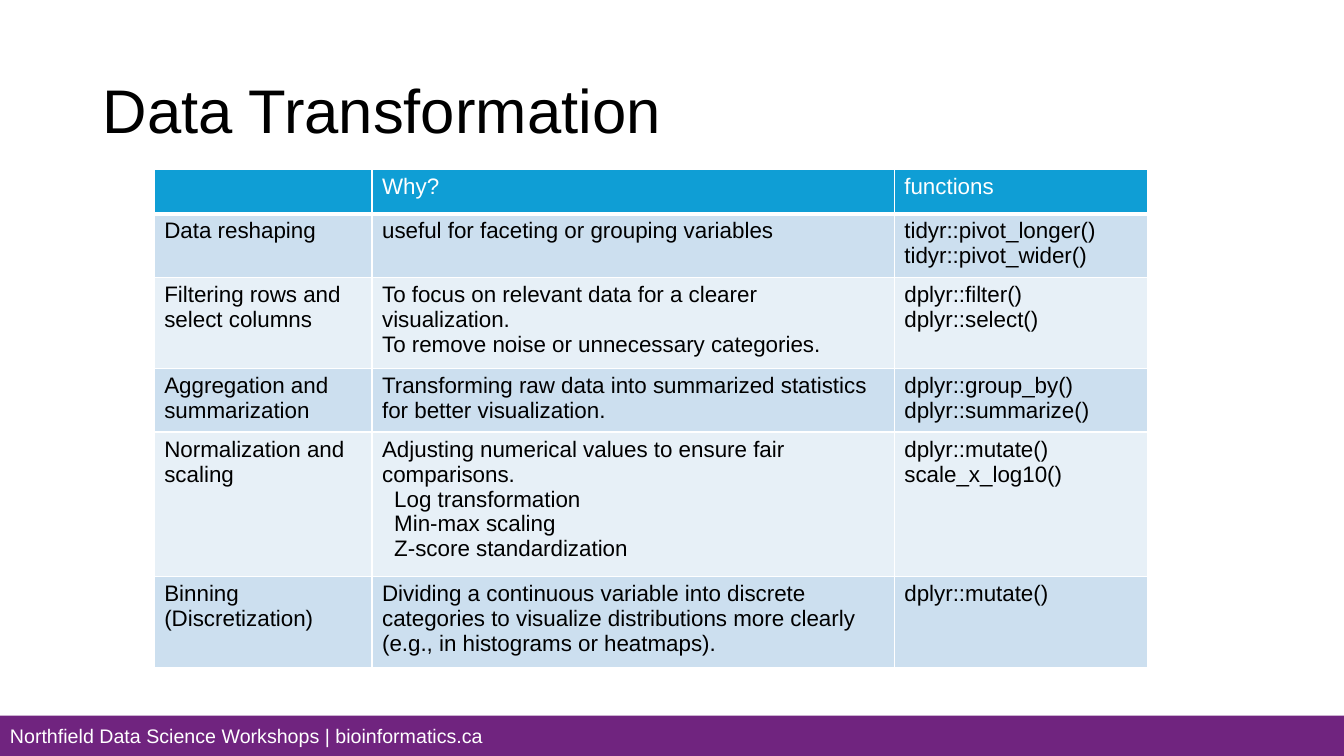
from lxml.etree import SubElement
from pptx import Presentation
from pptx.dml.color import RGBColor
from pptx.enum.shapes import MSO_SHAPE
from pptx.enum.text import MSO_ANCHOR
from pptx.oxml import parse_xml
from pptx.oxml.ns import nsdecls, qn
from pptx.util import Inches, Pt

WIDTH, HEIGHT = 13.33, 7.5
FONT = "Arial"
WHITE, BLACK, PURPLE = "FFFFFF", "000000", "70247F"
HEADER_BLUE, BAND_DARK, BAND_LIGHT = "0F9ED5", "CCDFEF", "E7F0F7"
COLUMN_WIDTHS = [2.16, 5.18, 2.51]
ROW_HEIGHTS = [0.44, 0.62, 0.84, 0.62, 1.38, 0.87]
STEP_INDENT = 0.12

HEADINGS = [[], ["Why?"], ["functions"]]
TRANSFORMATIONS = [
    [["Data reshaping"],
     ["useful for faceting or grouping variables"],
     ["tidyr::pivot_longer()", "tidyr::pivot_wider()"]],
    [["Filtering rows and select columns"],
     ["To focus on relevant data for a clearer visualization.",
      "To remove noise or unnecessary categories."],
     ["dplyr::filter()", "dplyr::select()"]],
    [["Aggregation and summarization"],
     ["Transforming raw data into summarized statistics for better visualization."],
     ["dplyr::group_by()", "dplyr::summarize()"]],
    [["Normalization and scaling"],
     ["Adjusting numerical values to ensure fair comparisons.",
      "Log transformation", "Min-max scaling", "Z-score standardization"],
     ["dplyr::mutate()", "scale_x_log10()"]],
    [["Binning (Discretization)"],
     ["Dividing a continuous variable into discrete categories to visualize "
      "distributions more clearly (e.g., in histograms or heatmaps)."],
     ["dplyr::mutate()"]],
]
INDENTED_STEPS = TRANSFORMATIONS[3][1][1:]


def paint(color_format, hex_color):
    """Give a fill or a font a solid colour from a hex string."""
    color_format.rgb = RGBColor.from_string(hex_color)


def write(frame, lines, size, hex_color):
    """Write each line as one paragraph with one run."""
    for index, line in enumerate(lines):
        paragraph = frame.paragraphs[0] if index == 0 else frame.add_paragraph()
        if line in INDENTED_STEPS:
            paragraph_properties = paragraph._p.get_or_add_pPr()
            paragraph_properties.set("marL", str(Inches(STEP_INDENT)))
            paragraph_properties.set("indent", "0")
        run = paragraph.add_run()
        run.text = line
        run.font.name = FONT
        run.font.size = Pt(size)
        paint(run.font.color, hex_color)


def add_label(slide, box, text, size, hex_color):
    """Place one line of text, vertically centred in its box."""
    label = slide.shapes.add_textbox(*map(Inches, box))
    frame = label.text_frame
    frame.word_wrap = True
    frame.vertical_anchor = MSO_ANCHOR.MIDDLE
    write(frame, [text], size, hex_color)
    return frame.paragraphs[0]


def add_footer(slide, box):
    """Draw the purple footer band and its label."""
    left, top, width, height = box
    band = slide.shapes.add_shape(MSO_SHAPE.RECTANGLE, *map(Inches, box))
    band.shadow.inherit = False
    band.fill.solid()
    paint(band.fill.fore_color, PURPLE)
    band.line.fill.background()
    add_label(slide, (left, top + 0.03, width * 0.4, height - 0.06),
              "Northfield Data Science Workshops | bioinformatics.ca", 14, WHITE)


def add_title(slide, box):
    """Write the slide title."""
    title = add_label(slide, box, "Data Transformation", 44, BLACK)
    title.line_spacing = 0.9


def outline_cell(cell, bottom_width):
    """Draw white borders around a cell, ahead of its fill."""
    cell_properties = cell._tc.get_or_add_tcPr()
    borders = [("lnL", 1), ("lnR", 1), ("lnT", 1), ("lnB", bottom_width)]
    for position, (side, width) in enumerate(borders):
        border = parse_xml(
            f'<a:{side} {nsdecls("a")} w="{Pt(width)}"><a:solidFill>'
            f'<a:srgbClr val="{WHITE}"/></a:solidFill></a:{side}>')
        cell_properties.insert(position, border)


def add_transformation_table(slide, left, top):
    """Build the table of transformations, reasons and functions."""
    rows = [HEADINGS] + TRANSFORMATIONS
    table = slide.shapes.add_table(
        len(rows), len(COLUMN_WIDTHS), Inches(left), Inches(top),
        Inches(sum(COLUMN_WIDTHS)), Inches(sum(ROW_HEIGHTS))).table
    for column, width in zip(table.columns, COLUMN_WIDTHS):
        column.width = Inches(width)
    for row_index, (row, height) in enumerate(zip(rows, ROW_HEIGHTS)):
        table.rows[row_index].height = Inches(height)
        is_header = row_index == 0
        band = BAND_DARK if row_index % 2 else BAND_LIGHT
        for column_index, lines in enumerate(row):
            cell = table.cell(row_index, column_index)
            cell.fill.solid()
            paint(cell.fill.fore_color, HEADER_BLUE if is_header else band)
            outline_cell(cell, 3 if is_header else 1)
            write(cell.text_frame, lines, 16, WHITE if is_header else BLACK)


def main():
    """Assemble and save the slide."""
    presentation = Presentation()
    presentation.slide_width = Inches(WIDTH)
    presentation.slide_height = Inches(HEIGHT)
    slide = presentation.slides.add_slide(presentation.slide_layouts[6])
    add_footer(slide, (0, HEIGHT - 0.4, WIDTH, 0.4))
    add_title(slide, (0.92, 0.4, 11.5, 1.45))
    add_transformation_table(slide, 1.53, 1.68)
    presentation.save("out.pptx")


if __name__ == "__main__":
    main()
